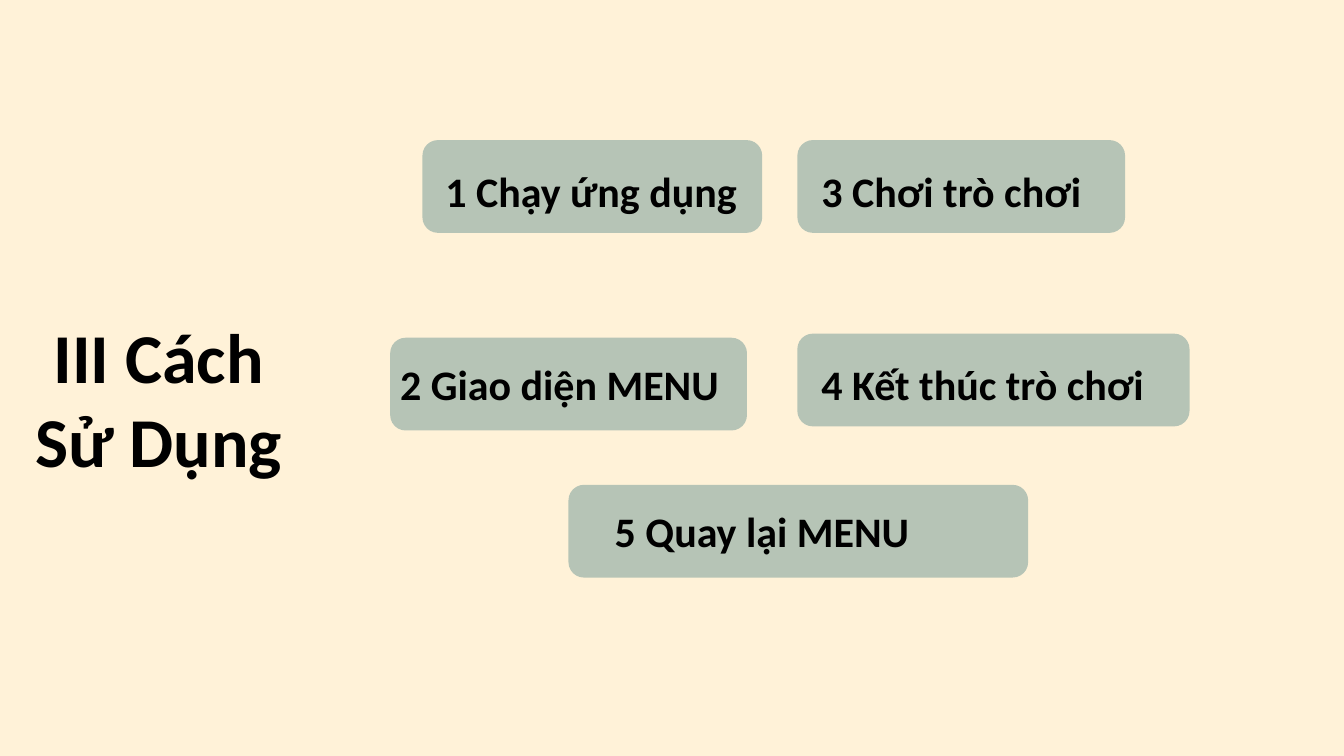
from dataclasses import dataclass
from lxml.etree import SubElement as Sub
from pptx import Presentation
from pptx.dml.color import RGBColor as Rgb
from pptx.enum.shapes import MSO_SHAPE as Kind
from pptx.enum.text import PP_ALIGN as Align
from pptx.oxml.ns import qn
from pptx.slide import Slide
from pptx.text.text import _Run as Run
from pptx.util import Inches, Pt

WIDE, HIGH = Inches(13.33), Inches(7.5)
CREAM, SAGE, BLACK = "FFF2D8", "B6C4B6", "000000"
CARD_H, TEXT_H = 12.27, 8.13


@dataclass
class Box:
    left: float
    top: float
    width: float
    height: float

    def place(self) -> tuple[int, int, int, int]:
        return (int(WIDE * self.left / 100), int(HIGH * self.top / 100),
                int(WIDE * self.width / 100), int(HIGH * self.height / 100))


@dataclass
class Step:
    text: str
    card: Box
    label: Box


STEPS = [
    Step("1 Chạy ứng dụng", Box(31.43, 18.53, 25.28, CARD_H), Box(32.4, 21.2, 25.28, TEXT_H)),
    Step("2 Giao diện MENU", Box(29.03, 44.67, 26.55, CARD_H), Box(29.03, 46.8, 26.55, TEXT_H)),
    Step("3 Chơi trò chơi", Box(59.33, 18.53, 24.38, CARD_H), Box(60.38, 21.2, 21.38, TEXT_H)),
    Step("4 Kết thúc trò chơi", Box(59.33, 44.13, 29.18, CARD_H), Box(60.38, 46.8, 28.2, TEXT_H)),
    Step("5 Quay lại MENU", Box(42.3, 64.13, 34.2, CARD_H), Box(45, 66.27, 30.98, TEXT_H)),
]


def paint(fill, tone: str) -> None:
    fill.solid()
    fill.fore_color.rgb = Rgb.from_string(tone)


def write(slide: Slide, text: str, box: Box, size: int, align: Align) -> Run:
    frame = slide.shapes.add_textbox(*box.place()).text_frame
    frame.word_wrap = True
    frame.text = text
    line = frame.paragraphs[0]
    line.alignment = align
    run = line.runs[0]
    run.font.size = Pt(size)
    run.font.bold = True
    run.font.name = "Calibri"
    paint(run.font.fill, BLACK)
    return run


def shade(run: Run) -> None:
    props = run.font._element
    glow = Sub(props, qn("a:effectLst"))
    props.find(qn("a:solidFill")).addnext(glow)
    cast = Sub(glow, qn("a:outerShdw"), blurRad="38100", dist="38100",
               dir="2700000", algn="tl")
    tone = Sub(cast, qn("a:srgbClr"), val=BLACK)
    Sub(tone, qn("a:alpha"), val="43000")


def draw(slide: Slide, step: Step) -> None:
    card = slide.shapes.add_shape(Kind.FLOWCHART_ALTERNATE_PROCESS, *step.card.place())
    card.shadow.inherit = False
    card.line.fill.background()
    paint(card.fill, SAGE)
    write(slide, step.text, step.label, 30, Align.LEFT)


def main() -> None:
    deck = Presentation()
    deck.slide_width, deck.slide_height = WIDE, HIGH
    slide = deck.slides.add_slide(deck.slide_layouts[6])
    paint(slide.background.fill, CREAM)
    shade(write(slide, "III Cách Sử Dụng", Box(0, 40.8, 23.63, 23.73), 50, Align.CENTER))
    for step in STEPS:
        draw(slide, step)
    deck.save("out.pptx")


if __name__ == "__main__":
    main()
